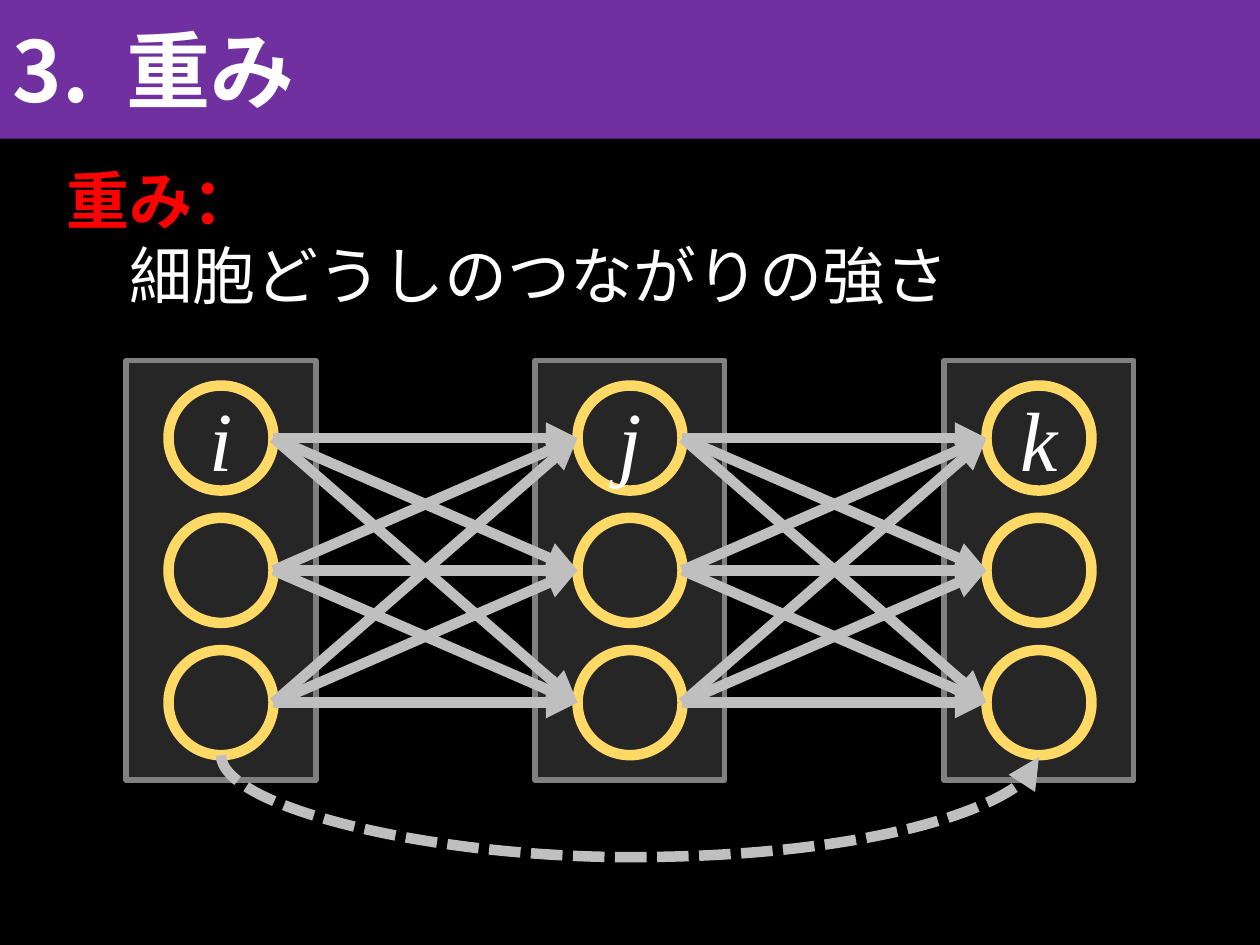
import pptx
import pptx.util
import pptx.dml.color
import pptx.enum.dml
import pptx.enum.shapes
import pptx.enum.text
import pptx.oxml
import pptx.oxml.ns

Pt = pptx.util.Pt
qn = pptx.oxml.ns.qn
Kind = pptx.enum.shapes.MSO_SHAPE
Link = pptx.enum.shapes.MSO_CONNECTOR
Align = pptx.enum.text.PP_ALIGN


def paint(fill, color):
    fill.solid()
    fill.fore_color.rgb = pptx.dml.color.RGBColor.from_string(color)


def write(para, text, size, color="FFFFFF", face="Noto Sans CJK JP",
          bold=False, italic=False, align=Align.LEFT, tab=None):
    para.alignment = align
    if tab:
        tabs = pptx.oxml.parse_xml(
            '<a:tabLst xmlns:a="http://schemas.openxmlformats.org/drawingml/2006/main">'
            f'<a:tab pos="{Pt(tab)}" algn="l"/></a:tabLst>')
        para._p.get_or_add_pPr().append(tabs)
    run = para.add_run()
    run.text = text
    font = run.font
    font.size, font.name, font.bold, font.italic = Pt(size), face, bold, italic
    paint(font.fill, color)
    east = font._element.makeelement(qn("a:ea"), {"typeface": face})
    font._element.append(east)


deck = pptx.Presentation()
deck.slide_width, deck.slide_height = Pt(720), Pt(540)
slide = deck.slides.add_slide(deck.slide_layouts[5])
shapes = slide.shapes
paint(slide.background.fill, "000000")

title = shapes.title
title.left, title.top, title.width, title.height = Pt(0), Pt(0), Pt(720), Pt(79.2)
paint(title.fill, "7030A0")
frame = title.text_frame
frame.auto_size = pptx.enum.text.MSO_AUTO_SIZE.NONE
frame.vertical_anchor = pptx.enum.text.MSO_ANCHOR.MIDDLE
write(frame.paragraphs[0], "3.\t重み", 48, bold=True, tab=65)

pitch, row = 233.7, 75.6
left, top = 126.3, 250.3
wide, tall, size = 108.5, 239.8, 60
links = []

for col, name in enumerate("ijk"):
    mid = left + col * pitch
    panel = shapes.add_shape(Kind.RECTANGLE, Pt(mid - wide / 2), Pt(206),
                             Pt(wide), Pt(tall))
    panel.shadow.inherit = False
    paint(panel.fill, "262626")
    paint(panel.line.fill, "808080")
    panel.line.width = Pt(3)

    for num in range(3):
        cell = shapes.add_shape(Kind.OVAL, Pt(mid - size / 2),
                                Pt(top + num * row - size / 2), Pt(size), Pt(size))
        cell.shadow.inherit = False
        cell.fill.background()
        paint(cell.line.fill, "FFD966")
        cell.line.width = Pt(6)
        if num == 0:
            write(cell.text_frame.paragraphs[0], name, 48, face="Times New Roman",
                  italic=True, align=Align.CENTER)

    if col > 0:
        for start in range(3):
            for end in range(3):
                links.append(shapes.add_connector(
                    Link.STRAIGHT,
                    Pt(mid - pitch + size / 2), Pt(top + start * row),
                    Pt(mid - size / 2), Pt(top + end * row)))

box = shapes.add_textbox(Pt(31), Pt(88.6), Pt(523.4), Pt(94.3))
box.text_frame.word_wrap = True
write(box.text_frame.paragraphs[0], "重み：", 36, color="FF0000", bold=True)
write(box.text_frame.add_paragraph(), "\t細胞どうしのつながりの強さ", 36, tab=36)

base, span = top + 2 * row + size / 2, 2 * pitch
curve = shapes.add_connector(Link.CURVE, Pt(360.5), Pt(base + 0.5 - span / 2),
                             Pt(359.5), Pt(base + 0.5 + span / 2))
curve._element.spPr.find(qn("a:xfrm")).set("rot", "16200000")
guides = curve._element.spPr.find(qn("a:prstGeom")).get_or_add_avLst()
guides.append(guides.makeelement(qn("a:gd"), {"name": "adj1", "fmla": "val 5875500"}))
curve.line.dash_style = pptx.enum.dml.MSO_LINE.SQUARE_DOT
links.append(curve)

for link in links:
    paint(link.line.fill, "BFBFBF")
    link.line.width = Pt(6)
    props = link._element.spPr
    edge = link.line._get_or_add_ln()
    edge.append(edge.makeelement(qn("a:tailEnd"), {"type": "triangle"}))
    props.append(props.makeelement(qn("a:effectLst"), {}))

deck.save("out.pptx")
